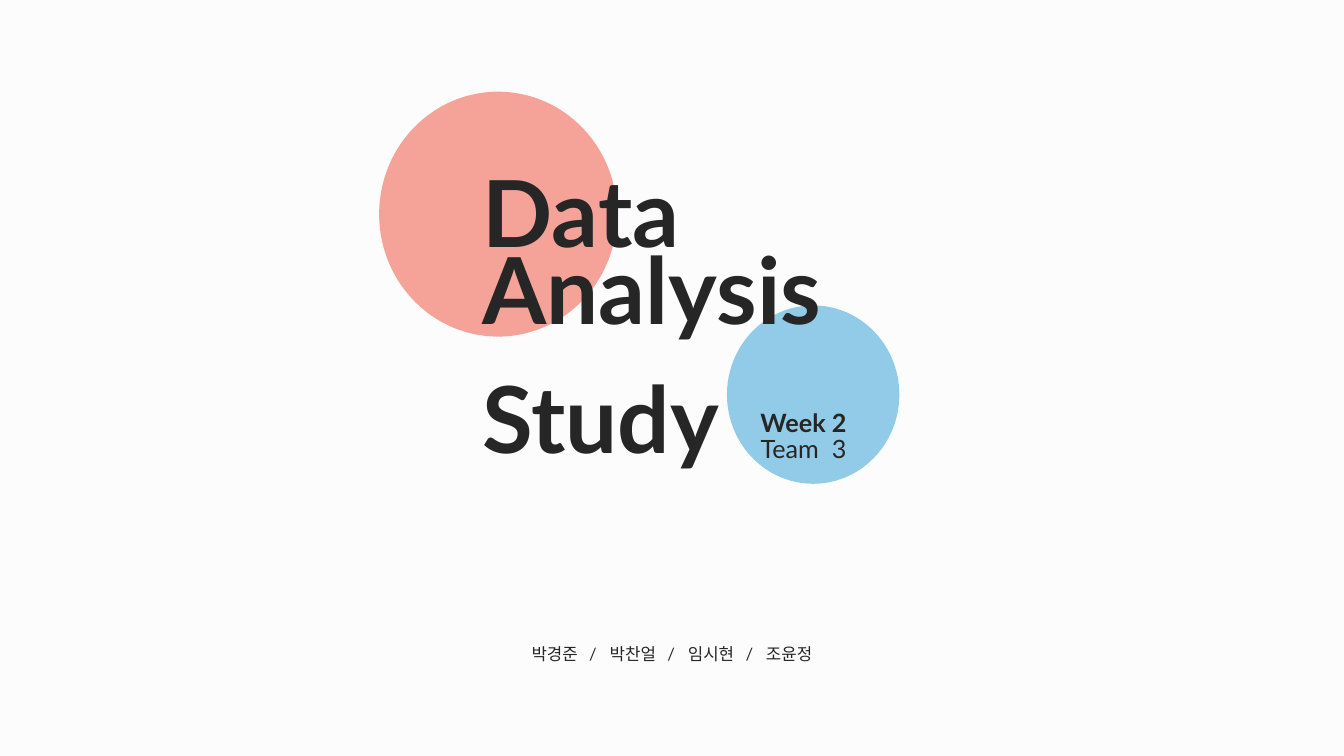
from lxml.etree import SubElement
from pptx import Presentation
from pptx.dml.color import RGBColor
from pptx.enum.shapes import MSO_SHAPE as Shape
from pptx.enum.text import MSO_ANCHOR as Anchor, PP_ALIGN as Align
from pptx.oxml.ns import qn
from pptx.util import Inches, Pt

WIDTH, HEIGHT = Inches(13.33), Inches(7.5)
PAPER = RGBColor(0xFC, 0xFC, 0xFC)
INK = RGBColor(0x26, 0x26, 0x26)
BLUE = RGBColor(0x65, 0xB7, 0xE0)
CORAL = RGBColor(0xF2, 0x72, 0x61)
FONT = "Lato"

TITLE_LEFT, TITLE_HEIGHT = 35.18, 16.13
MEMBERS = ["박경준", "박찬얼", "임시현", "조윤정"]


def place(left, top, width, height):
    """Turn percentages of the slide into lengths."""
    return (int(WIDTH * left / 100), int(HEIGHT * top / 100),
            int(WIDTH * width / 100), int(HEIGHT * height / 100))


def add_circle(page, area, color, opacity):
    circle = page.shapes.add_shape(Shape.OVAL, *place(*area))
    circle.shadow.inherit = False
    circle.line.fill.background()
    circle.fill.solid()
    circle.fill.fore_color.rgb = color
    tint = circle.fill._xPr.find(qn("a:solidFill"))[0]
    SubElement(tint, qn("a:alpha")).set("val", str(opacity * 1000))


def add_label(page, area, text, size, bold=False, align=Align.LEFT, anchor=Anchor.TOP):
    box = page.shapes.add_textbox(*place(*area))
    frame = box.text_frame
    frame.word_wrap = True
    frame.vertical_anchor = anchor
    para = frame.paragraphs[0]
    para.alignment = align
    span = para.add_run()
    span.text = text
    span.font.name = FONT
    span.font.size = Pt(size)
    span.font.bold = bold
    span.font.color.rgb = INK


def add_centered(page, area, text, size, bold=False):
    add_label(page, area, text, size, bold, Align.CENTER, Anchor.MIDDLE)


def main():
    deck = Presentation()
    deck.slide_width, deck.slide_height = WIDTH, HEIGHT
    page = deck.slides.add_slide(deck.slide_layouts[6])
    page.background.fill.solid()
    page.background.fill.fore_color.rgb = PAPER

    # Circles behind the title
    add_circle(page, (54.09, 40.4, 12.83, 23.6), BLUE, 70)
    add_circle(page, (28.21, 12.13, 17.7, 32.4), CORAL, 64)

    # Title, one word per line
    for word, top, width in [("Data ", 19.87, 29.11),
                             ("Analysis", 30, 30.23),
                             ("Study", 47.07, 22.51)]:
        add_label(page, (TITLE_LEFT, top, width, TITLE_HEIGHT), word, 66, bold=True)

    # Week and team
    for text, top, bold in [("Week 2", 53.2, True), ("Team  3", 56.67, False)]:
        add_centered(page, (54.91, top, 9.75, 5.33), text, 18, bold)

    # Team members
    add_centered(page, (31.43, 84.53, 37.13, 4), "   /   ".join(MEMBERS), 12)

    deck.save("out.pptx")


if __name__ == "__main__":
    main()
